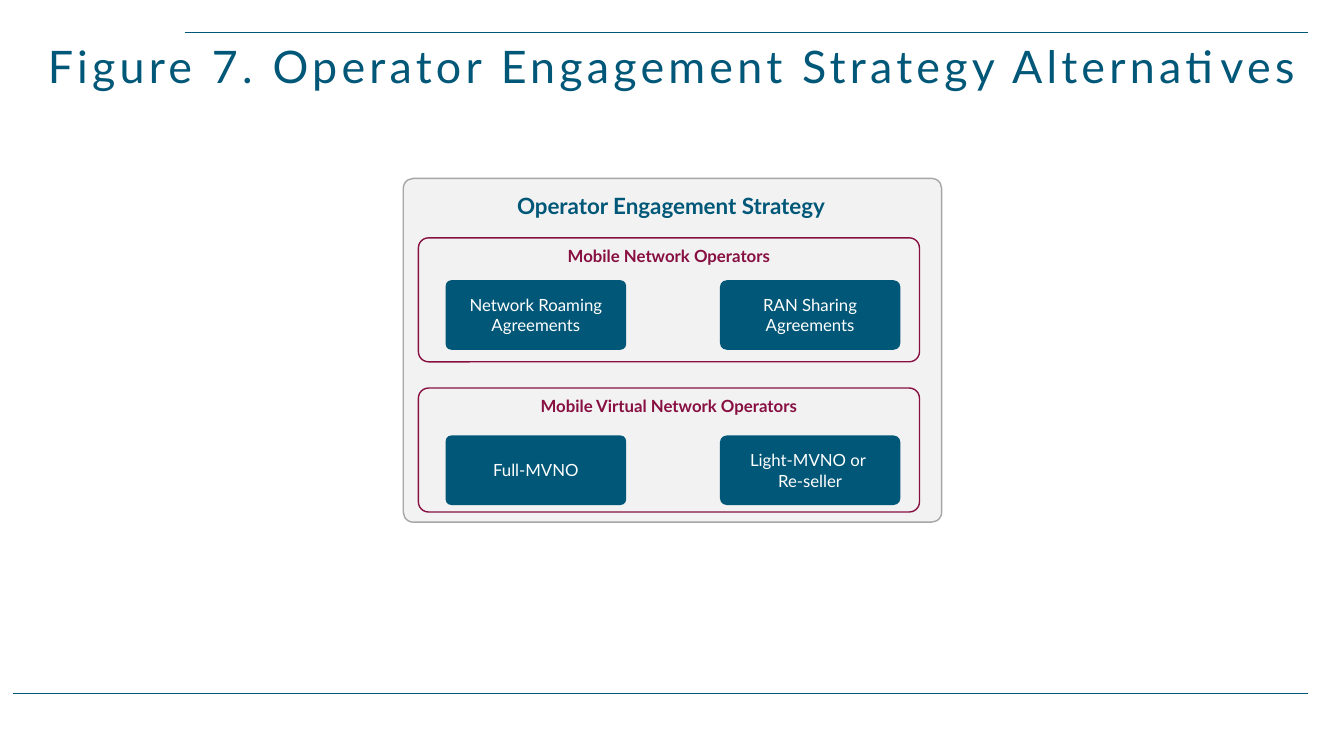
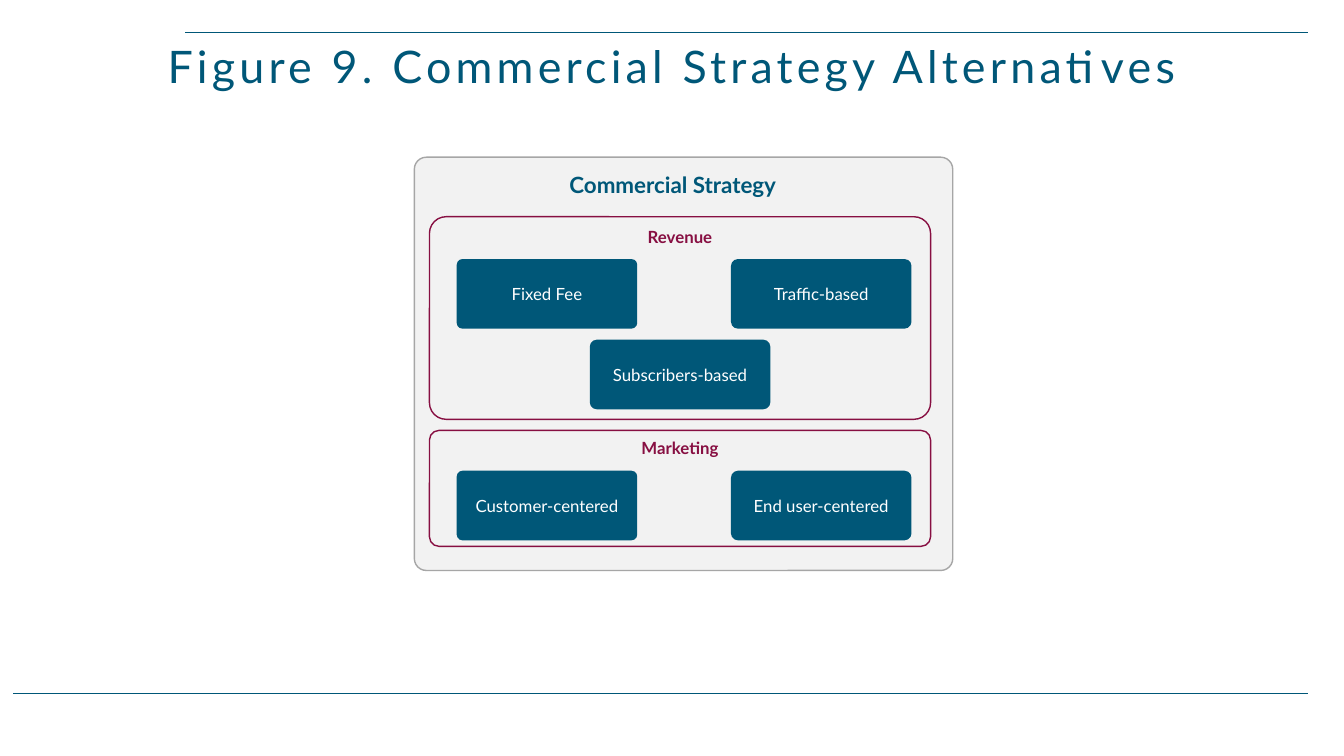
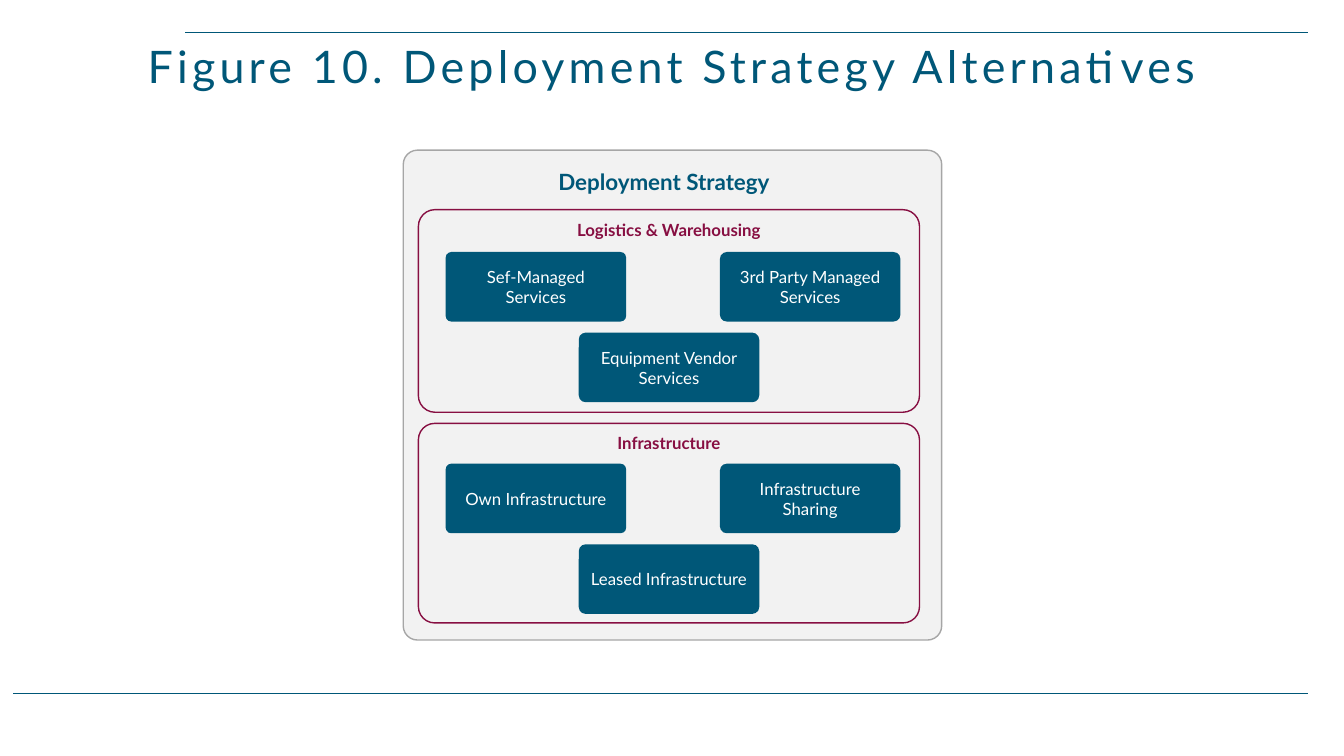
from pptx import Presentation
from pptx.dml.color import RGBColor
from pptx.enum.shapes import MSO_CONNECTOR, MSO_SHAPE
from pptx.enum.text import MSO_ANCHOR, MSO_AUTO_SIZE, PP_ALIGN
from pptx.oxml.ns import qn
from pptx.util import Inches, Pt
from lxml import etree

TEAL = RGBColor(0x00, 0x57, 0x78)
WINE = RGBColor(0x87, 0x0F, 0x42)
PALE_GREY = RGBColor(0xF2, 0xF2, 0xF2)
MID_GREY = RGBColor(0xA6, 0xA6, 0xA6)
WHITE = RGBColor(0xFF, 0xFF, 0xFF)
FONT = "Lato"

PANEL_WIDTH = 5.34
SECTION_LEFT, SECTION_WIDTH = 0.15, 4.97
OPTION_WIDTH, OPTION_HEIGHT = 1.79, 0.69
OPTION_SLOTS = [(0.42, 0, 0.082), (3.14, 0, 0.099), (1.74, 0.8, 0.099)]

FIGURES = [
    {
        "title": "Figure 7. Operator Engagement Strategy Alternatives",
        "panel": (4, 1.77, 3.41),
        "heading": ("Operator Engagement Strategy", 5.03, 1.86, 3.49),
        "sections": [
            ("Mobile Network Operators", 0.59, 1.23, 1.01,
             ["Network Roaming Agreements", "RAN Sharing Agreements"]),
            ("Mobile Virtual Network Operators", 2.08, 1.23, 2.55,
             ["Full-MVNO", "Light-MVNO or \nRe-seller"]),
        ],
    },
    {
        "title": "Figure 9. Commercial Strategy Alternatives",
        "panel": (4.11, 1.56, 4.1),
        "heading": ("Commercial Strategy", 5.55, 1.65, 2.4),
        "sections": [
            ("Revenue", 0.59, 2.01, 1.01,
             ["Fixed Fee", "Traffic-based", "Subscribers-based"]),
            ("Marketing", 2.71, 1.15, 3.11,
             ["Customer-centered", "End user-centered"]),
        ],
    },
    {
        "title": "Figure 10. Deployment Strategy Alternatives",
        "panel": (4, 1.49, 4.86),
        "heading": ("Deployment Strategy", 5.44, 1.62, 2.44),
        "sections": [
            ("Logistics & Warehousing", 0.59, 2.01, 1.01,
             ["Sef-Managed Services", "3rd Party Managed Services",
              "Equipment Vendor Services"]),
            ("Infrastructure", 2.71, 1.98, 3.11,
             ["Own Infrastructure", "Infrastructure Sharing",
              "Leased Infrastructure"]),
        ],
    },
]


def add_rounded(shapes, left, top, width, height, corner, fill=None, line=None):
    box = shapes.add_shape(MSO_SHAPE.ROUNDED_RECTANGLE, Inches(left), Inches(top),
                           Inches(width), Inches(height))
    box.shadow.inherit = False
    box.adjustments[0] = corner
    if fill is None:
        box.fill.background()
    else:
        box.fill.solid()
        box.fill.fore_color.rgb = fill
    if line is None:
        box.line.fill.background()
    else:
        box.line.color.rgb = line
        box.line.width = Pt(1)
    return box


def write(frame, text, size, color, align, bold=False):
    for index, line in enumerate(text.split("\n")):
        paragraph = frame.add_paragraph() if index else frame.paragraphs[0]
        paragraph.alignment = align
        run = paragraph.add_run()
        run.text = line
        run.font.name = FONT
        run.font.size = Pt(size)
        run.font.bold = bold
        run.font.color.rgb = color
    return run


deck = Presentation()
deck.slide_width = Inches(13.33)
deck.slide_height = Inches(7.5)
layout = deck.slide_layouts.get_by_name("Title Only")

layout_title = layout.placeholders[0]
layout_title.left, layout_title.top = Inches(0), Inches(0.36)
layout_title.width, layout_title.height = Inches(13.33), Inches(0.6)

slides = [deck.slides.add_slide(layout) for figure in FIGURES]

for start, height in [(1.84, 0.32), (0.13, 6.88)]:
    rule = slides[0].shapes.add_connector(MSO_CONNECTOR.STRAIGHT, Inches(start), Inches(height),
                                          Inches(12.97), Inches(height))
    rule.line.color.rgb = TEAL
    rule.line.width = Pt(1)
    etree.SubElement(rule.element.spPr, qn("a:effectLst"))
    layout.shapes.element.append(rule.element)

for slide, figure in zip(slides, FIGURES):
    title = slide.shapes.title.text_frame
    title.auto_size = MSO_AUTO_SIZE.NONE
    title.vertical_anchor = MSO_ANCHOR.BOTTOM
    title_run = write(title, figure["title"], 32, TEAL, PP_ALIGN.CENTER)
    title_run._r.get_or_add_rPr().set("spc", "300")
    title.paragraphs[0].line_spacing = 0.8

    diagram = slide.shapes.add_group_shape().shapes
    left, top, height = figure["panel"]
    add_rounded(diagram, left, top, PANEL_WIDTH, height, 0.029, PALE_GREY, MID_GREY)

    heading, heading_left, heading_top, heading_width = figure["heading"]
    heading_frame = diagram.add_textbox(Inches(heading_left), Inches(heading_top),
                                        Inches(heading_width), Inches(0.37)).text_frame
    heading_frame.word_wrap = False
    heading_frame.auto_size = MSO_AUTO_SIZE.SHAPE_TO_FIT_TEXT
    write(heading_frame, heading, 16, TEAL, PP_ALIGN.LEFT, bold=True)

    for caption, section_top, section_height, options_top, options in figure["sections"]:
        section = add_rounded(diagram, left + SECTION_LEFT, top + section_top,
                              SECTION_WIDTH, section_height, 0.082, line=WINE)
        section.text_frame.vertical_anchor = MSO_ANCHOR.TOP
        write(section.text_frame, caption, 12, WINE, PP_ALIGN.CENTER, bold=True)

        for option, (across, down, corner) in zip(options, OPTION_SLOTS):
            choice = add_rounded(diagram, left + across, top + options_top + down,
                                 OPTION_WIDTH, OPTION_HEIGHT, corner, fill=TEAL)
            choice.text_frame.word_wrap = True
            choice.text_frame.vertical_anchor = MSO_ANCHOR.MIDDLE
            write(choice.text_frame, option, 12, WHITE, PP_ALIGN.CENTER)

deck.save("out.pptx")
